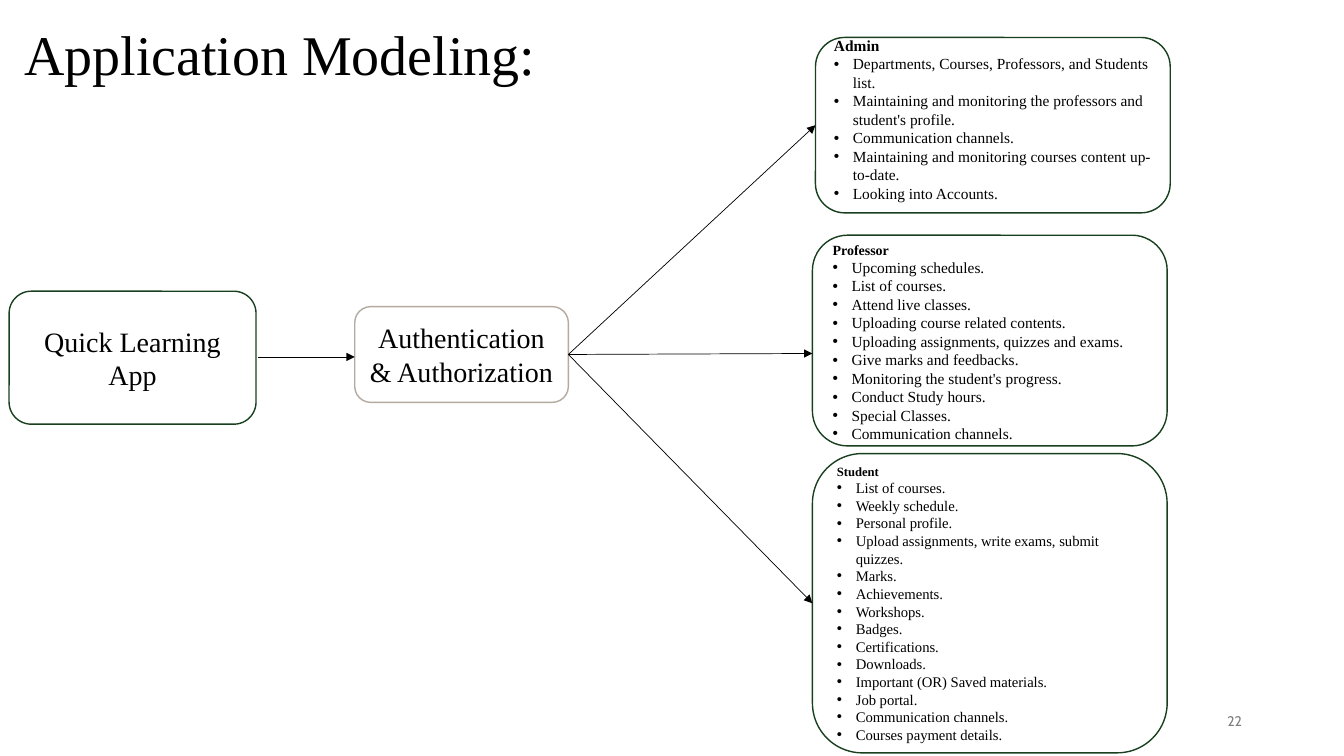
from lxml import etree
from pptx import Presentation
from pptx.dml.color import RGBColor
from pptx.enum import shapes, text
from pptx.oxml.ns import qn
from pptx.util import Pt

SERIF = "Times New Roman"
BLACK, GREEN, TAUPE, GREY = "000000", "18401F", "B3AAA0", "808080"


def colour(value):
    return RGBColor.from_string(value)


def write(paragraph, words, size, align, bold=False, face=SERIF, ink=BLACK):
    paragraph.text = words
    paragraph.alignment = align
    for key, value in {"name": face, "size": Pt(size), "bold": bold}.items():
        setattr(paragraph.font, key, value)
    paragraph.font.color.rgb = colour(ink)


prs = Presentation()
prs.slide_width, prs.slide_height = Pt(960), Pt(540)
slide = prs.slides.add_slide(prs.slide_layouts[6])
LEFT, CENTER, RIGHT = text.PP_ALIGN.LEFT, text.PP_ALIGN.CENTER, text.PP_ALIGN.RIGHT

# Title and page number
for words, place, size, align, anchor, face, ink in [
    ("Application Modeling:", (10.3, 10.3, 590, 55.4), 40, LEFT,
     text.MSO_ANCHOR.TOP, SERIF, BLACK),
    ("22", (678.2, 500.4, 216, 28.8), 10, RIGHT,
     text.MSO_ANCHOR.MIDDLE, "Cabin", GREY),
]:
    frame = slide.shapes.add_textbox(*map(Pt, place)).text_frame
    frame.word_wrap = True
    frame.vertical_anchor = anchor
    write(frame.paragraphs[0], words, size, align, face=face, ink=ink)

# Boxes: heading, place, outline, heading size, item size, (top, bottom) inset, items
boxes = [
    ("Quick Learning App", (6.5, 208, 176.4, 95), GREEN, 20, 0, (3.6, 3.6), []),
    ("Authentication & Authorization", (253.4, 219, 152.6, 68.4), TAUPE, 20, 0,
     (3.6, 3.6), []),
    ("Admin", (582.5, 26.8, 253.4, 125.3), GREEN, 11, 11, (0, 8.4), [
        "Departments, Courses, Professors, and Students list.",
        "Maintaining and monitoring the professors and student's profile.",
        "Communication channels.",
        "Maintaining and monitoring courses content up-to-date.",
        "Looking into Accounts.",
    ]),
    ("Professor", (580.3, 168, 253.4, 150.5), GREEN, 10, 11, (2.2, 0), [
        "Upcoming schedules.",
        "List of courses.",
        "Attend live classes.",
        "Uploading course related contents.",
        "Uploading assignments, quizzes and exams.",
        "Give marks and feedbacks.",
        "Monitoring the student's progress.",
        "Conduct Study hours.",
        "Special Classes.",
        "Communication channels.",
    ]),
    ("Student", (580.3, 324, 253.4, 213.8), GREEN, 9, 10.5, (0.6, 0), [
        "List of courses.",
        "Weekly schedule.",
        "Personal profile.",
        "Upload assignments, write exams, submit quizzes.",
        "Marks.",
        "Achievements.",
        "Workshops.",
        "Badges.",
        "Certifications.",
        "Downloads.",
        "Important (OR) Saved materials.",
        "Job portal.",
        "Communication channels.",
        "Courses payment details.",
    ]),
]
placed = {}
for heading, place, outline, heading_size, item_size, insets, items in boxes:
    box = slide.shapes.add_shape(shapes.MSO_SHAPE.ROUNDED_RECTANGLE, *map(Pt, place))
    placed[heading] = box
    box.shadow.inherit = False
    box.fill.solid()
    box.fill.fore_color.rgb = colour("FFFFFF")
    box.line.color.rgb = colour(outline)
    box.line.width = Pt(1)
    frame = box.text_frame
    frame.word_wrap = True
    frame.vertical_anchor = text.MSO_ANCHOR.MIDDLE
    frame.margin_top, frame.margin_bottom = map(Pt, insets)
    write(frame.paragraphs[0], heading, heading_size,
          LEFT if items else CENTER, bold=bool(items))
    for item in items:
        paragraph = frame.add_paragraph()
        properties = paragraph._p.get_or_add_pPr()
        properties.set("marL", str(Pt(13.5)))
        properties.set("indent", str(-Pt(13.5)))
        etree.SubElement(properties, qn("a:buFont")).set("typeface", "Arial")
        etree.SubElement(properties, qn("a:buChar")).set("char", "•")
        write(paragraph, item, item_size, LEFT)

# Arrows: start, end, box joined at its right side, box joined at its left side
access = placed["Authentication & Authorization"]
for start, end, source, target in [
    ((184.3, 255), (253.4, 255), None, None),
    ((406, 253.2), (582.5, 89.5), access, placed["Admin"]),
    ((406, 253.2), (580.3, 252.5), access, None),
    ((406, 253.2), (580.3, 430.9), access, placed["Student"]),
]:
    arrow = slide.shapes.add_connector(
        shapes.MSO_CONNECTOR.STRAIGHT, *map(Pt, start + end))
    if source:
        arrow.begin_connect(source, 3)
    if target:
        arrow.end_connect(target, 1)
    arrow.line.color.rgb = colour(BLACK)
    arrow.line.width = Pt(0.5)
    etree.SubElement(arrow.line._get_or_add_ln(), qn("a:tailEnd")).set("type", "triangle")
    etree.SubElement(arrow._element.spPr, qn("a:effectLst"))

prs.save("out.pptx")
